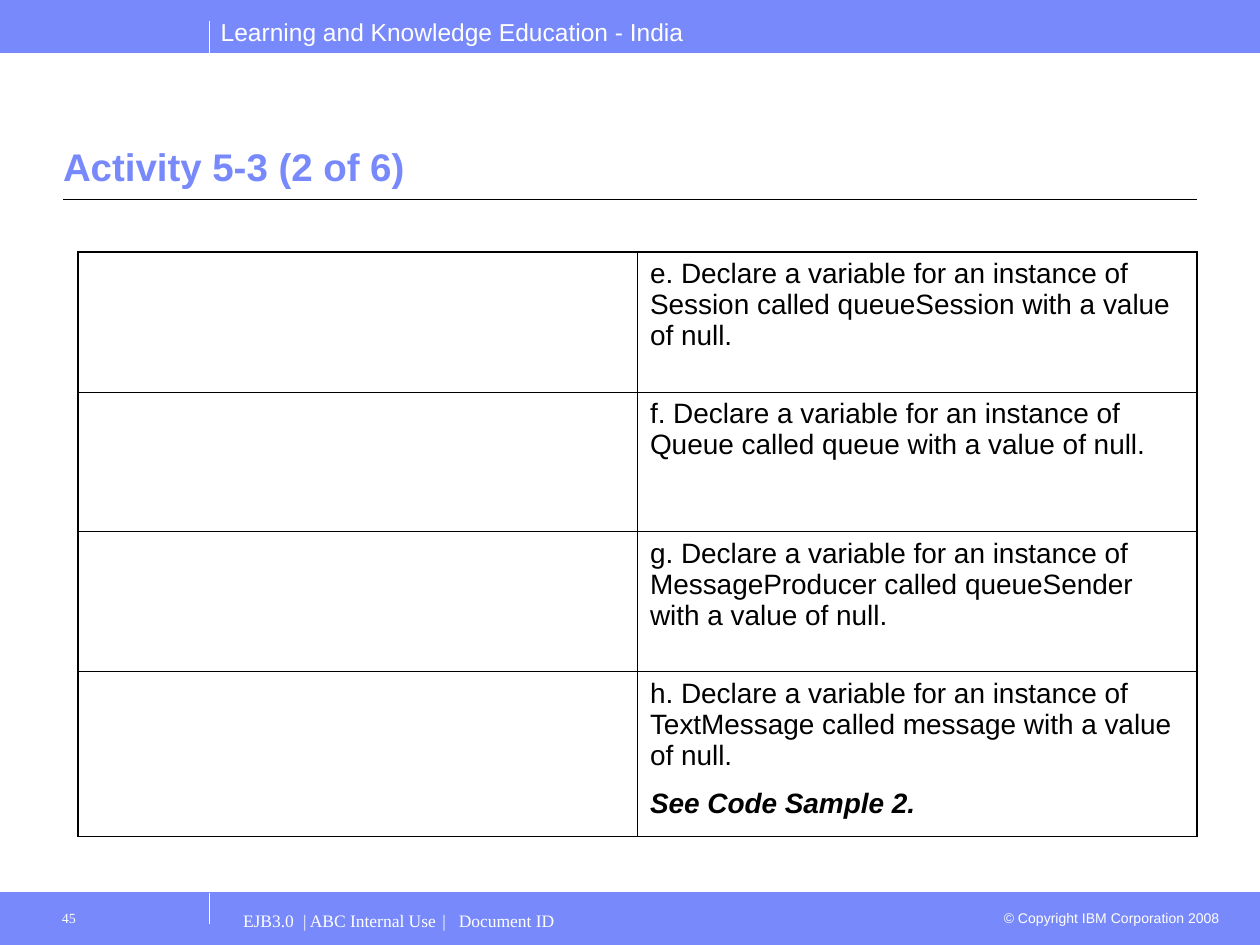
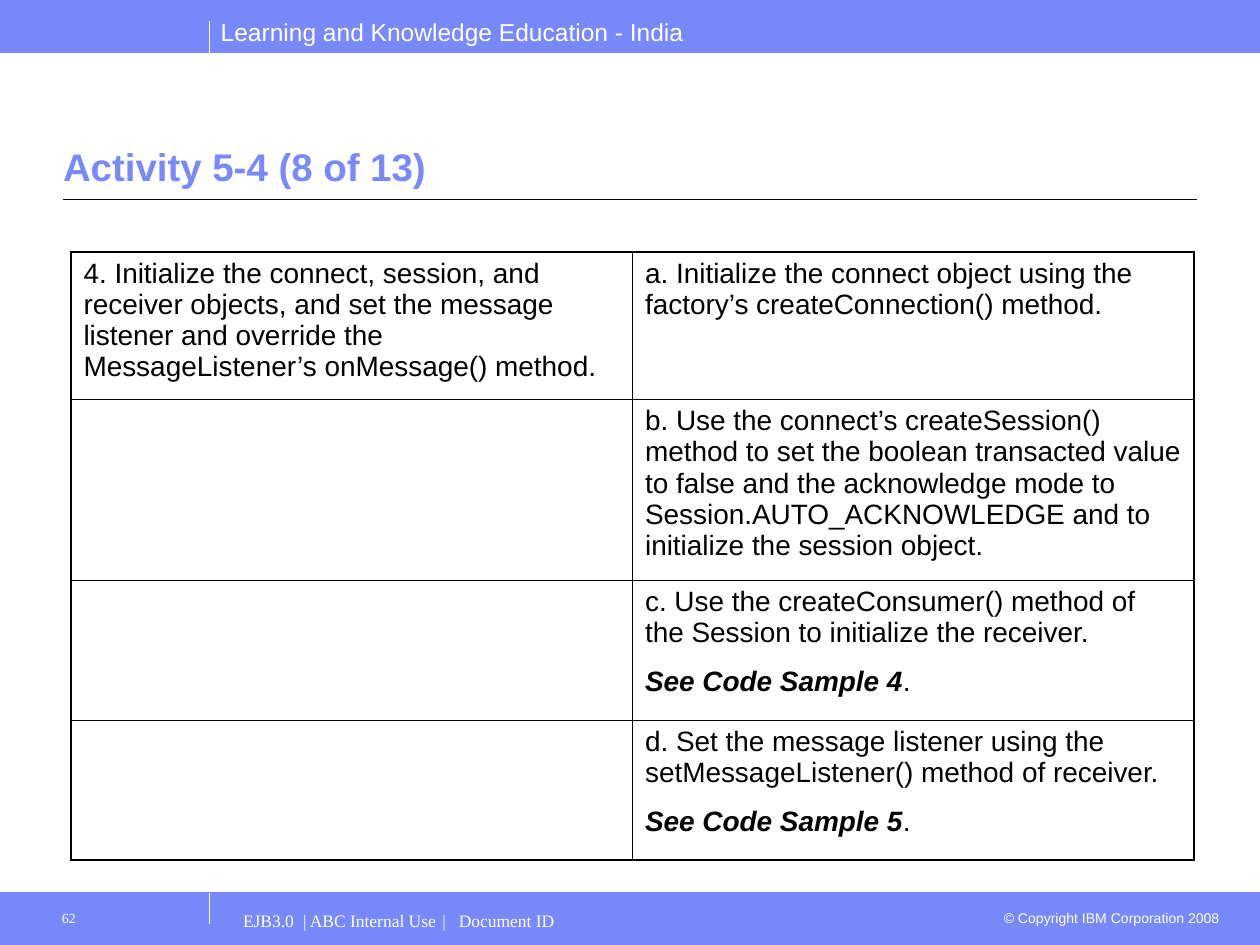
from dataclasses import dataclass
from typing import NamedTuple

from lxml.etree import SubElement
from pptx import Presentation
from pptx.dml.color import RGBColor
from pptx.enum.shapes import MSO_CONNECTOR, MSO_SHAPE
from pptx.enum.text import MSO_ANCHOR, MSO_AUTO_SIZE, PP_ALIGN
from pptx.oxml.ns import qn
from pptx.util import Cm, Pt


@dataclass(frozen=True)
class Theme:
    blue: str = "7889FB"
    white: str = "FFFFFF"
    black: str = "000000"
    sans: str = "Arial"
    serif: str = "Times New Roman"
    title: int = 22
    body: int = 16
    head: int = 14
    foot: int = 10
    small: int = 8
    thick: float = 1.08
    thin: float = 0.45
    gap: int = 10


THEME = Theme()
WIDE, HIGH = 25.4, 19.05
BAND = 1.06
BASE = HIGH - BAND
TICK = 4.23


class Box(NamedTuple):
    left: float
    top: float
    width: float
    height: float


class Rule(NamedTuple):
    x1: float
    y1: float
    x2: float
    y2: float
    color: str
    width: float


class Row(NamedTuple):
    height: float
    right: str
    left: str = ""
    sample: str = ""
    tail: str = ""


class Page(NamedTuple):
    title: str
    number: str
    left: float
    column: float
    rows: list[Row]


RULES = [
    Rule(TICK, BASE, TICK, BASE + 0.64, THEME.white, 0.75),
    Rule(0, BAND, WIDE, BAND, THEME.blue, 0.5),
    Rule(0, BASE, WIDE, BASE, THEME.blue, 0.5),
    Rule(1.27, 4.02, WIDE - 1.27, 4.02, THEME.black, 0.75),
    Rule(TICK, BAND - 0.64, TICK, BAND, THEME.white, 0.75),
]

PAGES = [
    Page("Activity 5-3 (2 of 6)", "45", 1.57, 11.28, [
        Row(2.82, "e. Declare a variable for an instance of Session called "
                  "queueSession with a value of null."),
        Row(2.82, "f. Declare a variable for an instance of Queue called "
                  "queue with a value of null."),
        Row(2.82, "g. Declare a variable for an instance of MessageProducer "
                  "called queueSender with a value of null."),
        Row(3.32, "h. Declare a variable for an instance of TextMessage "
                  "called message with a value of null.",
            sample="See Code Sample 2."),
    ]),
    Page("Activity 5-4 (8 of 13)", "62", 1.43, 11.32, [
        Row(2.97, "a. Initialize the connect object using the factory’s "
                  "createConnection() method.",
            left="4. Initialize the connect, session, and receiver objects, "
                 "and set the message listener and override the "
                 "MessageListener’s onMessage() method."),
        Row(3.65, "b. Use the connect’s createSession() method to set the "
                  "boolean transacted value to false and the acknowledge mode "
                  "to Session.AUTO_ACKNOWLEDGE and to initialize the session "
                  "object."),
        Row(2.82, "c. Use the createConsumer() method of the Session to "
                  "initialize the receiver.",
            sample="See Code Sample 4", tail="."),
        Row(2.82, "d. Set the message listener using the "
                  "setMessageListener() method of receiver.",
            sample="See Code Sample 5", tail="."),
    ]),
]


def write(para, text: str, *, size: int = THEME.body, color: str = THEME.black,
          face: str = THEME.sans, bold: bool = False, slant: bool = False,
          align=PP_ALIGN.LEFT) -> None:
    """Add one formatted run to a paragraph."""
    para.alignment = align
    run = para.add_run()
    run.text = text
    font = run.font
    font.size, font.name = Pt(size), face
    font.bold, font.italic = bold, slant
    font.color.rgb = RGBColor.from_string(color)


def label(slide, box: Box, text: str, *, top: float = 0.13, left: float = 0.25,
          tabs: tuple = (), **style) -> None:
    frame = slide.shapes.add_textbox(*map(Cm, box)).text_frame
    frame.word_wrap = True
    frame.margin_top, frame.margin_left = Cm(top), Cm(left)
    para = frame.paragraphs[0]
    if tabs:
        stops = SubElement(para._p.get_or_add_pPr(), qn("a:tabLst"))
        for stop in tabs:
            SubElement(stops, qn("a:tab"), pos=str(int(Cm(stop))), algn="l")
    write(para, text, color=THEME.white, **style)


def band(slide, top: float) -> None:
    shape = slide.shapes.add_shape(
        MSO_SHAPE.RECTANGLE, *map(Cm, Box(0, top, WIDE, BAND)))
    shape.shadow.inherit = False
    shape.fill.solid()
    shape.fill.fore_color.rgb = RGBColor.from_string(THEME.blue)
    shape.line.color.rgb = RGBColor.from_string(THEME.blue)
    shape.line.width = Pt(0.75)


def stroke(slide, rule: Rule) -> None:
    line = slide.shapes.add_connector(MSO_CONNECTOR.STRAIGHT, *map(Cm, rule[:4]))
    line.line.color.rgb = RGBColor.from_string(rule.color)
    line.line.width = Pt(rule.width)
    SubElement(line.element.spPr, qn("a:effectLst"))


def frame(slide, layout) -> None:
    """Draw the bands, rules and fixed labels, then hand them to the layout."""
    for holder in list(layout.placeholders)[1:]:
        layout.shapes.element.remove(holder.element)
    band(slide, BASE)
    band(slide, 0)
    label(slide, Box(4.2, 0.22, 11, 0.86),
          "Learning and Knowledge Education - India", size=THEME.head)
    label(slide, Box(19.89, 18.21, 4.95, 0.61),
          "© Copyright IBM Corporation 2008",
          size=THEME.small, align=PP_ALIGN.RIGHT)
    for rule in RULES:
        stroke(slide, rule)
    for shape in list(slide.shapes):
        if not shape.is_placeholder:
            layout.shapes.element.append(shape.element)


def head(slide, text: str) -> None:
    title = slide.shapes.title
    title.left, title.top, title.width, title.height = map(
        Cm, Box(1.27, 1.61, 22.86, 2.34))
    body = title.text_frame
    body.auto_size = MSO_AUTO_SIZE.NONE
    body.vertical_anchor = MSO_ANCHOR.BOTTOM
    body.margin_left = body.margin_right = 0
    body.margin_top = body.margin_bottom = Cm(0.13)
    write(body.paragraphs[0], text, size=THEME.title, color=THEME.blue, bold=True)


def edge(cell, **outer: bool) -> None:
    """Border a cell: thick on outer sides, thin on inner ones."""
    props = cell._tc.get_or_add_tcPr()
    for side, thick in outer.items():
        width = Pt(THEME.thick if thick else THEME.thin)
        line = SubElement(props, qn(f"a:ln{side}"), w=str(int(width)))
        fill = SubElement(line, qn("a:solidFill"))
        SubElement(fill, qn("a:srgbClr"), val=THEME.black)
    cell.fill.background()


def grid(slide, page: Page) -> None:
    rows = page.rows
    box = Box(page.left, 5.08, 2 * page.column, sum(r.height for r in rows))
    table = slide.shapes.add_table(len(rows), 2, *map(Cm, box)).table
    table.first_row = table.horz_banding = False
    for col in table.columns:
        col.width = Cm(page.column)
    for num, row in enumerate(rows):
        table.rows[num].height = Cm(row.height)
        for side, text in enumerate((row.left, row.right)):
            cell = table.cell(num, side)
            edge(cell, L=side == 0, R=side == 1,
                 T=num == 0, B=num == len(rows) - 1)
            para = cell.text_frame.paragraphs[0]
            if text:
                para.space_after = Pt(THEME.gap)
                write(para, text)
        if row.sample:
            para = table.cell(num, 1).text_frame.add_paragraph()
            para.space_after = Pt(THEME.gap)
            write(para, row.sample, bold=True, slant=True)
            if row.tail:
                write(para, row.tail)


def foot(slide, number: str) -> None:
    label(slide, Box(4.65, 18.16, 15.24, 0.89),
          "EJB3.0\t| ABC Internal Use\t|\tDocument ID",
          top=0.18, tabs=(1.21, 4.02, 4.35), size=THEME.foot, face=THEME.serif)
    label(slide, Box(0.84, 18.16, 3.38, 0.89), number,
          top=0.18, left=0.41, size=THEME.small, face=THEME.serif)


def main() -> None:
    deck = Presentation()
    deck.slide_width, deck.slide_height = Cm(WIDE), Cm(HIGH)
    layout = deck.slide_layouts[5]
    for num, page in enumerate(PAGES):
        slide = deck.slides.add_slide(layout)
        if num == 0:
            frame(slide, layout)
        head(slide, page.title)
        grid(slide, page)
        foot(slide, page.number)
    deck.save("out.pptx")


if __name__ == "__main__":
    main()
